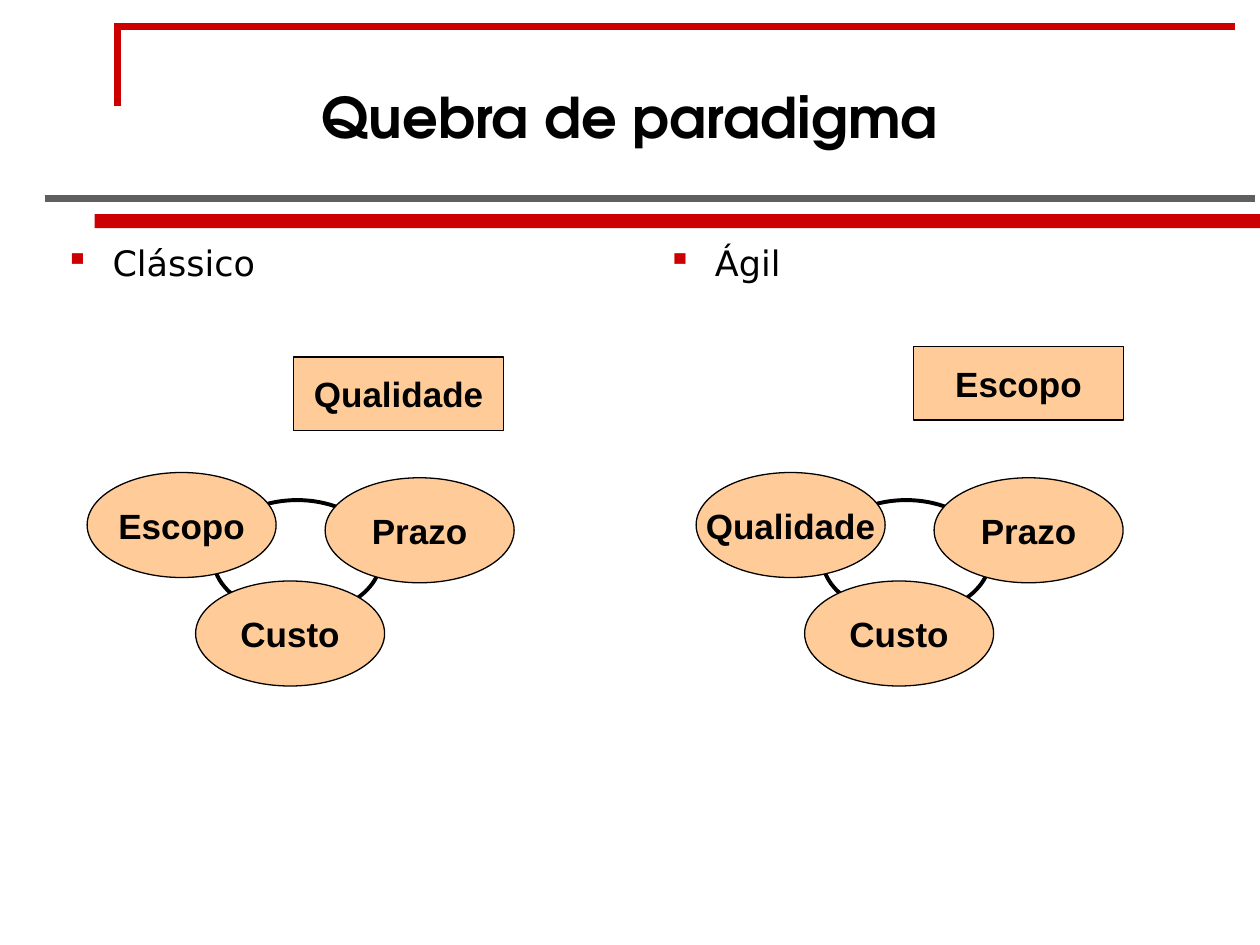
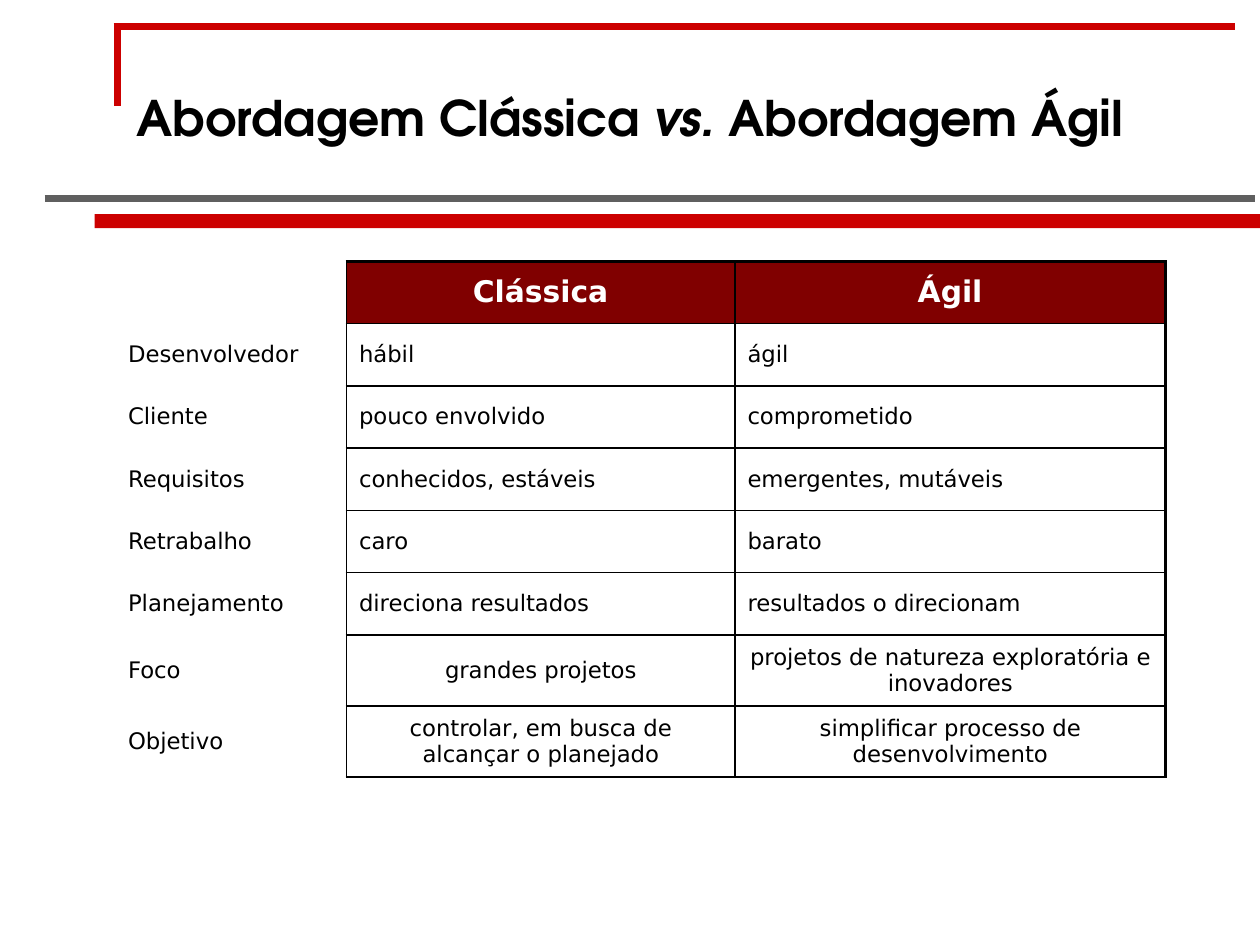
from pptx import Presentation
from pptx.dml.color import RGBColor
from pptx.enum import shapes, text
from pptx.oxml import parse_xml
from pptx.oxml.ns import nsdecls
from pptx.util import Pt

RED, GREY, BLACK, WHITE = "CC0000", "5F5F5F", "000000", "FFFFFF"
PEACH, MAROON = "FFCC99", "800000"
TITLE_FONT, BODY_FONT, SHAPE_FONT = "TeX Gyre Adventor", "DejaVu Sans", "Arial"
CENTER, LEFT = text.PP_ALIGN.CENTER, text.PP_ALIGN.LEFT
SHAPE = shapes.MSO_SHAPE


def write(p, words, color=BLACK, **font):
    r = p.add_run()
    r.text = words
    r.font.color.rgb = RGBColor.from_string(color)
    for name, value in font.items():
        setattr(r.font, name, value)


def add_shape(parent, kind, box, fill=None, line=None, label=None):
    sp = parent.add_shape(kind, *map(Pt, box))
    sp.shadow.inherit = False
    if fill:
        sp.fill.solid()
        sp.fill.fore_color.rgb = RGBColor.from_string(fill)
    else:
        sp.fill.background()
    if line:
        sp.line.color.rgb = RGBColor.from_string(BLACK)
        sp.line.width = Pt(line)
    else:
        sp.line.fill.background()
    if label:
        tf = sp.text_frame
        tf.word_wrap = False
        tf.vertical_anchor = text.MSO_ANCHOR.MIDDLE
        tf.paragraphs[0].alignment = CENTER
        write(tf.paragraphs[0], label, size=Pt(20), name=SHAPE_FONT, bold=True)


prs = Presentation()
prs.slide_width, prs.slide_height = Pt(720), Pt(540)

# Shared frame and titles: (words, italic) runs
titles = [
    (32, [("Quebra de paradigma", False)]),
    (28, [("Abordagem Clássica ", False), ("vs.", True),
          (" Abordagem Ágil", False)]),
]
rules = [
    (RED, (67, 60.5, 67, 15)),
    (RED, (65, 15, 705.6, 15)),
    (GREY, (25.5, 113.6, 717, 113.6)),
]
for size, runs in titles:
    s = prs.slides.add_slide(prs.slide_layouts[5])
    for color, ends in rules:
        cx = s.shapes.add_connector(shapes.MSO_CONNECTOR.STRAIGHT, *map(Pt, ends))
        cx.line.color.rgb = RGBColor.from_string(color)
        cx.line.width = Pt(4)
        cx._element.spPr.append(parse_xml(f"<a:effectLst {nsdecls('a')}/>"))
    add_shape(s.shapes, SHAPE.RECTANGLE, (54, 122.4, 666, 8), RED)
    title = s.shapes.title
    for name, value in dict(left=36, top=21.6, width=648, height=90).items():
        setattr(title, name, Pt(value))
    tf = title.text_frame
    tf.auto_size = text.MSO_AUTO_SIZE.NONE
    tf.vertical_anchor = text.MSO_ANCHOR.MIDDLE
    p = tf.paragraphs[0]
    p.alignment = CENTER
    for words, italic in runs:
        write(p, words, size=Pt(size), name=TITLE_FONT, bold=True, italic=italic)

paradigm, comparison = prs.slides

# Slide 1: bulleted headings
for left, heading in [(30.2, "Clássico"), (374.4, "Ágil")]:
    tf = paradigm.shapes.add_textbox(Pt(left), Pt(134.6), Pt(331), Pt(36)).text_frame
    tf.word_wrap = True
    p = tf.paragraphs[0]
    pPr = p._p.get_or_add_pPr()
    pPr.set("marL", str(Pt(27)))
    pPr.set("indent", str(-Pt(27)))
    for bullet in (f'<a:buClr {nsdecls("a")}><a:srgbClr val="{RED}"/></a:buClr>',
                   f'<a:buSzPct {nsdecls("a")} val="95000"/>',
                   f'<a:buChar {nsdecls("a")} char="▪"/>'):
        pPr.append(parse_xml(bullet))
    write(p, heading, size=Pt(20), name=BODY_FONT)

# Slide 1: three linked variables and the one left outside
trios = [
    (49.8, ("Escopo", "Prazo", "Custo"), (167.8, 204), "Qualidade"),
    (397.8, ("Qualidade", "Prazo", "Custo"), (522, 198), "Escopo"),
]
offsets = [(0, 270), (136, 273), (62, 332)]
for left, labels, outside_at, outside in trios:
    trio = paradigm.shapes.add_group_shape().shapes
    add_shape(trio, SHAPE.OVAL, (left + 72, 285.8, 96, 66), line=2.25)
    for label, (dx, top) in zip(labels, offsets):
        add_shape(trio, SHAPE.OVAL, (left + dx, top, 108, 60), PEACH, 0.75, label)
    add_shape(paradigm.shapes, SHAPE.RECTANGLE, (*outside_at, 120, 42),
              PEACH, 0.75, outside)

# Slide 2: comparison table
rows = [
    ("", "Clássica", "Ágil"),
    ("Desenvolvedor", "hábil", "ágil"),
    ("Cliente", "pouco envolvido", "comprometido"),
    ("Requisitos", "conhecidos, estáveis", "emergentes, mutáveis"),
    ("Retrabalho", "caro", "barato"),
    ("Planejamento", "direciona resultados", "resultados o direcionam"),
    ("Foco", "grandes projetos", "projetos de natureza exploratória e inovadores"),
    ("Objetivo", "controlar, em busca de alcançar o planejado",
     "simplificar processo de desenvolvimento"),
]
widths = [132, 222, 246]
heights = [35.6] * 6 + [40.6] * 2
last = len(rows) - 1
table = comparison.shapes.add_table(
    len(rows), len(widths), Pt(66), Pt(149.4),
    Pt(sum(widths)), Pt(sum(heights))).table
table.first_row = table.horz_banding = False
for column, width in zip(table.columns, widths):
    column.width = Pt(width)
for i, (row, height) in enumerate(zip(rows, heights)):
    table.rows[i].height = Pt(height)
    for j, words in enumerate(row):
        cell = table.cell(i, j)
        cell.vertical_anchor = text.MSO_ANCHOR.MIDDLE
        header = i == 0 and j > 0
        if j > 0:
            thick = {"R": j == 2, "T": i == 0, "B": i == last}
            sides = "LRTB"
        else:
            thick, sides = {}, "R"
        for side in sides:
            width = Pt(1.5 if thick.get(side) else 1)
            cell._tc.get_or_add_tcPr().append(parse_xml(
                f'<a:ln{side} {nsdecls("a")} w="{width}"><a:solidFill>'
                f'<a:srgbClr val="{BLACK}"/></a:solidFill></a:ln{side}>'))
        if header:
            cell.fill.solid()
            cell.fill.fore_color.rgb = RGBColor.from_string(MAROON)
        else:
            cell.fill.background()
        if words:
            p = cell.text_frame.paragraphs[0]
            p.alignment = CENTER if header or (i >= 6 and j > 0) else LEFT
            write(p, words, WHITE if header else BLACK, name=BODY_FONT,
                  size=Pt(17 if header else 13), bold=header)

prs.save("out.pptx")
